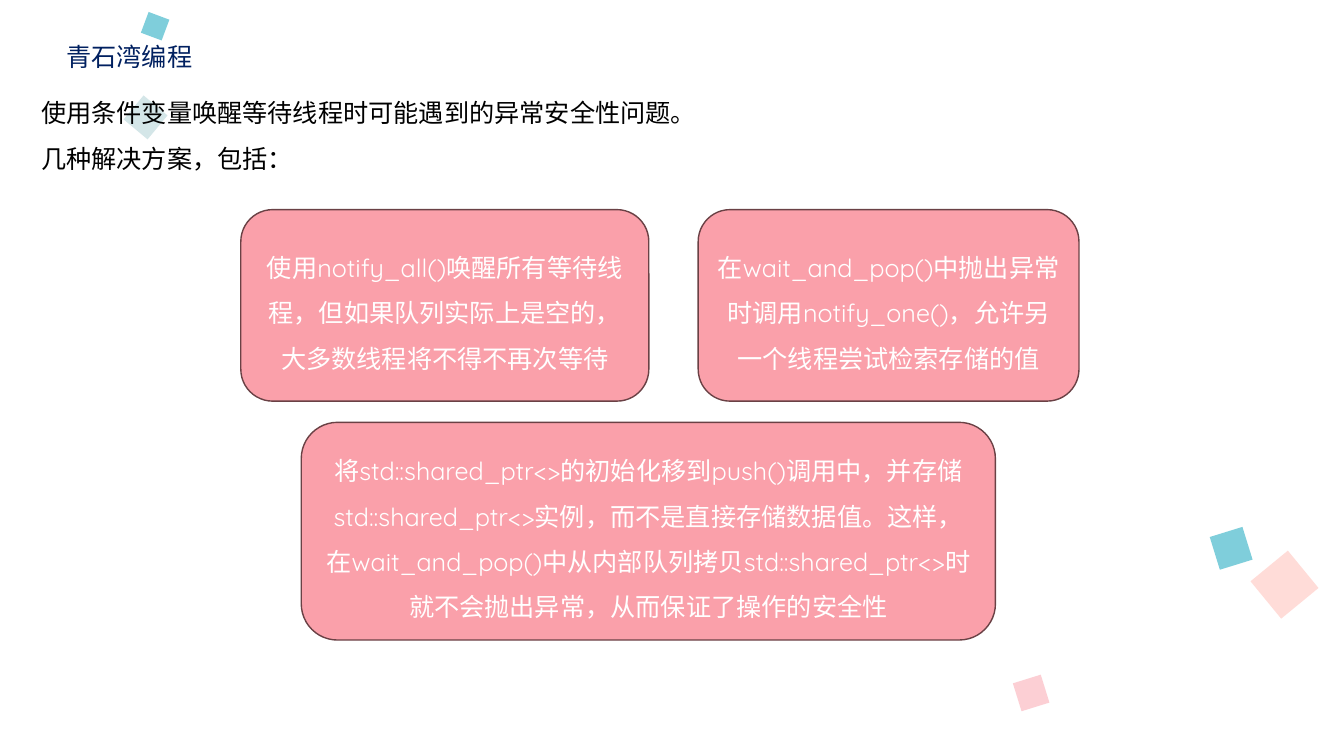
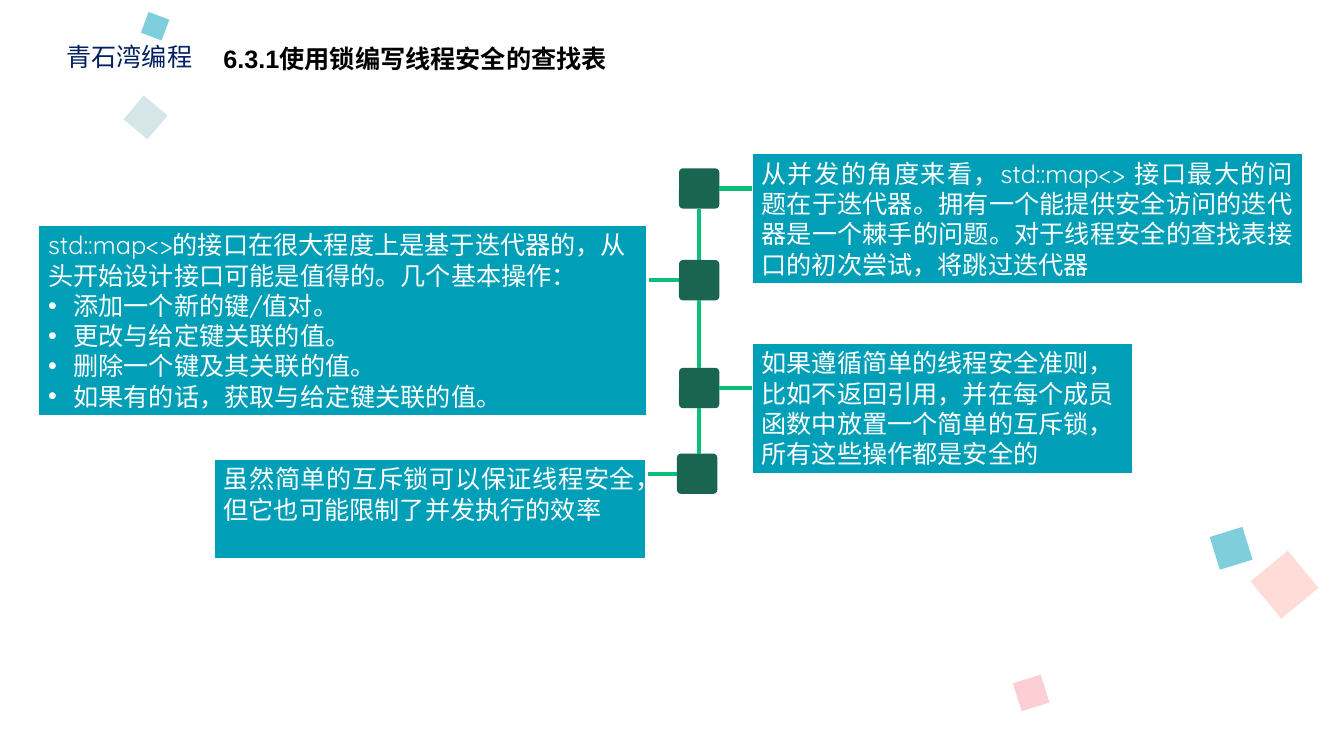
import pptx
import pptx.dml.color
import pptx.enum.shapes
import pptx.enum.text
import pptx.oxml
import pptx.oxml.ns
import pptx.util
from lxml import etree

Inches = pptx.util.Inches
Pt = pptx.util.Pt
RGBColor = pptx.dml.color.RGBColor
Shape = pptx.enum.shapes.MSO_SHAPE
Align = pptx.enum.text.PP_ALIGN
Anchor = pptx.enum.text.MSO_ANCHOR
AutoSize = pptx.enum.text.MSO_AUTO_SIZE
qn = pptx.oxml.ns.qn

WHITE = RGBColor(0xFF, 0xFF, 0xFF)
BLACK = RGBColor(0x00, 0x00, 0x00)
NAVY = RGBColor(0x00, 0x20, 0x60)
PINK = RGBColor(0xFA, 0xA0, 0xAA)
PEACH = RGBColor(0xFF, 0xBB, 0xB3)
MIST = RGBColor(0xAA, 0xCE, 0xD2)
TEAL = RGBColor(0x00, 0x9F, 0xB8)
PLUM = RGBColor(0x6A, 0x41, 0x45)
GREEN = RGBColor(0x0C, 0xBE, 0x7C)
DARK_GREEN = RGBColor(0x1A, 0x65, 0x50)

CJK_FONT = "Noto Sans CJK JP"
BODY_FONT = "Quicksand"
TITLE_FONT = "Arial"

# Left, top, side, rotation, colour
CONFETTI = [
    (12.51, 5.56, 0.48, 320.6, PEACH),
    (10.09, 6.73, 0.29, 342.8, PINK),
    (12.05, 5.27, 0.34, 342.8, TEAL),
    (1.29, 1.01, 0.31, 309.8, MIST),
    (1.43, 0.15, 0.22, 290.5, TEAL),
]


def add_bullet(para):
    """Give a paragraph a white round bullet with a hanging indent."""
    props = para._p.get_or_add_pPr()
    props.set("marL", str(Inches(0.25)))
    props.set("indent", str(-Inches(0.25)))
    colour = etree.SubElement(props, qn("a:buClr"))
    etree.SubElement(colour, qn("a:srgbClr")).set("val", str(WHITE))
    etree.SubElement(props, qn("a:buFont")).set("typeface", "Arial")
    etree.SubElement(props, qn("a:buChar")).set("char", "•")


def write(box, *lines, font=BODY_FONT, color=WHITE, bold=False, align=Align.LEFT,
          spacing=None, anchor=Anchor.TOP, grow=True, bullets_from=None):
    """Fill a shape with one paragraph per line."""
    frame = box.text_frame
    frame.word_wrap = True
    frame.vertical_anchor = anchor
    frame.auto_size = AutoSize.SHAPE_TO_FIT_TEXT if grow else AutoSize.NONE
    for index, line in enumerate(lines):
        para = frame.add_paragraph() if index else frame.paragraphs[0]
        para.alignment = align
        if spacing:
            para.line_spacing = spacing
        if bullets_from is not None and index >= bullets_from:
            add_bullet(para)
        span = para.add_run()
        span.text = line
        span.font.size = Pt(18)
        span.font.bold = bold
        span.font.color.rgb = color
        span.font.name = font
        east_asian = etree.SubElement(span.font._element, qn("a:ea"))
        east_asian.set("typeface", CJK_FONT)


def add_text(page, left, top, width, height, *lines, **style):
    box = page.shapes.add_textbox(
        Inches(left), Inches(top), Inches(width), Inches(height))
    write(box, *lines, **style)


def add_block(page, kind, left, top, width, height, fill, line=None, weight=1):
    block = page.shapes.add_shape(
        kind, Inches(left), Inches(top), Inches(width), Inches(height))
    block.shadow.inherit = False
    block.fill.solid()
    block.fill.fore_color.rgb = fill
    if line is None:
        block.line.fill.background()
    else:
        block.line.color.rgb = line
        block.line.width = Pt(weight)
    return block


def add_rail(page, start, end, x1, y1, x2, y2):
    """Draw a green line; start and end are (shape, side) or None."""
    rail = page.shapes.add_connector(
        pptx.enum.shapes.MSO_CONNECTOR.STRAIGHT,
        Inches(x1), Inches(y1), Inches(x2), Inches(y2))
    rail.line.color.rgb = GREEN
    rail.line.width = Pt(3)
    etree.SubElement(rail._element.spPr, qn("a:effectLst"))
    if start:
        rail.begin_connect(*start)
    if end:
        rail.end_connect(*end)


def add_page(deck):
    """Start a page with the shared squares and name."""
    page = deck.slides.add_slide(deck.slide_layouts[6])
    for left, top, side, turn, color in CONFETTI:
        square = add_block(page, Shape.RECTANGLE, left, top, side, side, color)
        square.rotation = turn
        tint = square._element.spPr.find(".//" + qn("a:srgbClr"))
        etree.SubElement(tint, qn("a:alpha")).set("val", "50000")
    add_text(page, 0.56, 0.36, 1.49, 0.4, "青石湾编程", font=CJK_FONT, color=NAVY)
    return page


def build_solutions(deck):
    page = add_page(deck)
    solutions = [
        (2.39, 2.08, 4.05, 1.9,
         "使用notify_all()唤醒所有等待线程，但如果队列实际上是空的，大多数线程将不得不再次等待"),
        (6.93, 2.08, 3.78, 1.9,
         "在wait_and_pop()中抛出异常时调用notify_one()，允许另一个线程尝试检索存储的值"),
        (2.99, 4.19, 6.89, 2.16,
         "将std::shared_ptr<>的初始化移到push()调用中，并存储std::shared_ptr<>实例，"
         "而不是直接存储数据值。这样，在wait_and_pop()中从内部队列拷贝"
         "std::shared_ptr<>时就不会抛出异常，从而保证了操作的安全性"),
    ]
    for *place, text in solutions:
        card = add_block(page, Shape.ROUNDED_RECTANGLE, *place, PINK, PLUM)
        write(card, text, align=Align.CENTER, spacing=1.5,
              anchor=Anchor.MIDDLE, grow=False)
    add_text(page, 0.31, 0.77, 6.87, 1,
             "使用条件变量唤醒等待线程时可能遇到的异常安全性问题。",
             "几种解决方案，包括：",
             font=TITLE_FONT, color=BLACK, spacing=1.5)


def build_lookup_table(deck):
    page = add_page(deck)
    add_text(page, 2.12, 0.38, 6.66, 0.4, "6.3.1使用锁编写线程安全的查找表",
             font=TITLE_FONT, color=BLACK, bold=True)

    # Notes on both sides of the timeline
    notes = [
        ((7.46, 1.52, 5.47, 1.3),
         ["从并发的角度来看，std::map<> 接口最大的问题在于迭代器。拥有一个能提供安全访问的"
          "迭代器是一个棘手的问题。对于线程安全的查找表接口的初次尝试，将跳过迭代器"],
         {"align": Align.JUSTIFY}),
        ((0.38, 2.23, 6.04, 1.9),
         ["std::map<>的接口在很大程度上是基于迭代器的，从头开始设计接口可能是值得的。"
          "几个基本操作：",
          "添加一个新的键/值对。",
          "更改与给定键关联的值。",
          "删除一个键及其关联的值。",
          "如果有的话，获取与给定键关联的值。"],
         {"bullets_from": 1}),
        ((7.46, 3.4, 3.79, 1.3),
         ["如果遵循简单的线程安全准则，比如不返回引用，并在每个成员函数中放置一个简单的互斥锁，"
          "所有这些操作都是安全的"], {}),
        ((2.12, 4.55, 4.29, 1),
         ["虽然简单的互斥锁可以保证线程安全，但它也可能限制了并发执行的效率"],
         {"align": Align.JUSTIFY}),
    ]
    for place, lines, style in notes:
        note = add_block(page, Shape.RECTANGLE, *place, TEAL, WHITE, 1.5)
        write(note, *lines, **style)

    # Timeline nodes
    node_size = 0.4
    axis = 6.94
    node_places = [(6.74, 1.67), (6.74, 2.58), (6.74, 3.65), (6.72, 4.5)]
    nodes = []
    for left, top in node_places:
        node = add_block(page, Shape.ROUNDED_RECTANGLE, left, top,
                         node_size, node_size, DARK_GREEN)
        node.adjustments[0] = 0.1
        nodes.append(node)

    # Branches from each node to its note
    for node, (left, top), (place, _, _) in zip(nodes, node_places, notes):
        middle = top + node_size / 2
        if place[0] > axis:
            add_rail(page, (node, 3), None, left + node_size, middle, place[0], middle)
        else:
            edge = place[0] + place[2] + 0.02
            add_rail(page, (node, 1), None, left, middle, edge, middle)

    # Stems down the axis; the last node sits a little off it
    for index, node in enumerate(nodes[:-1]):
        below_left, below_top = node_places[index + 1]
        on_axis = below_left == node_places[index][0]
        add_rail(page, (node, 2), (nodes[index + 1], 0) if on_axis else None,
                 axis, node_places[index][1] + node_size, axis, below_top)


def main():
    deck = pptx.Presentation()
    deck.slide_width = Inches(13.34)
    deck.slide_height = Inches(7.5)
    build_solutions(deck)
    build_lookup_table(deck)
    deck.save("out.pptx")


if __name__ == "__main__":
    main()
